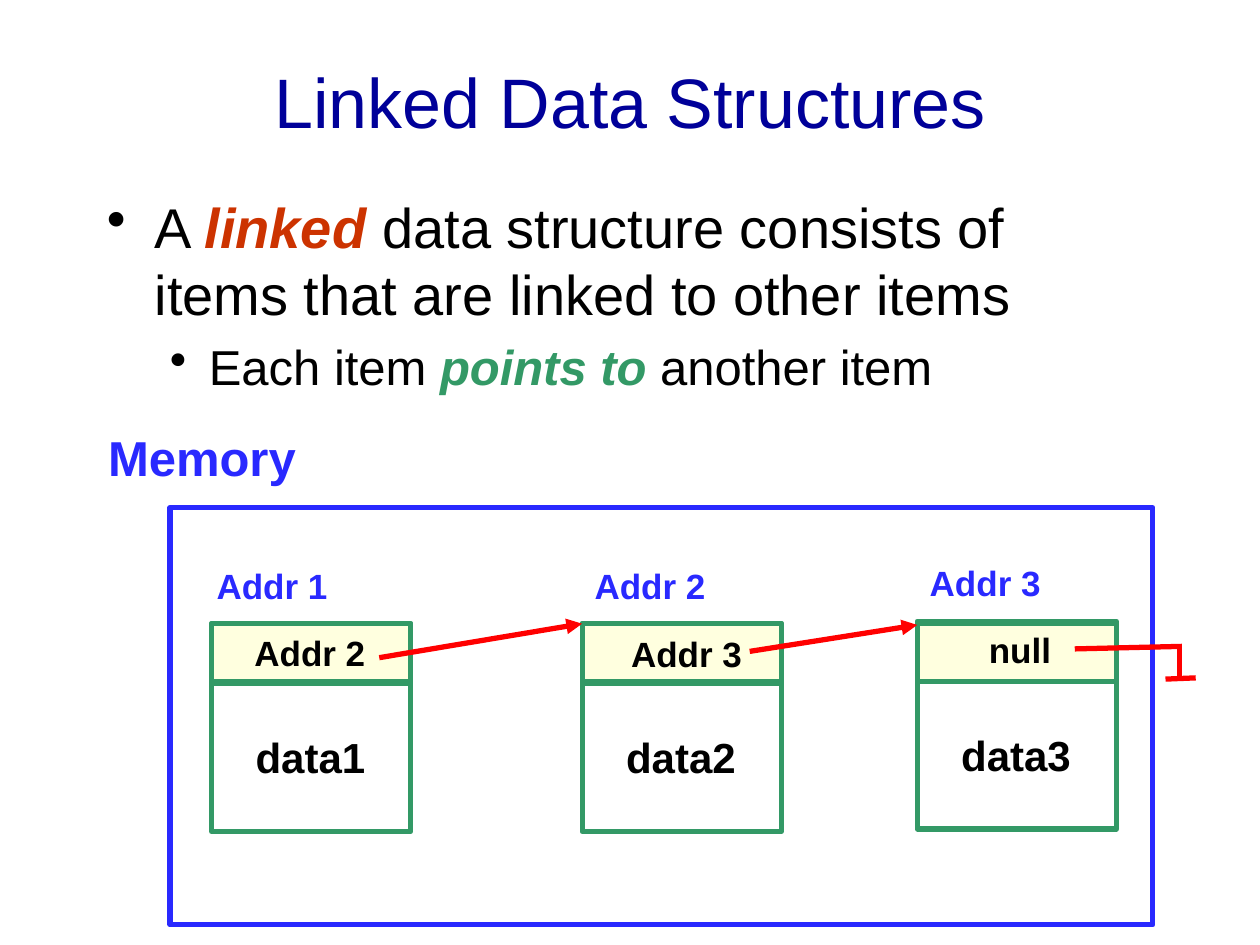
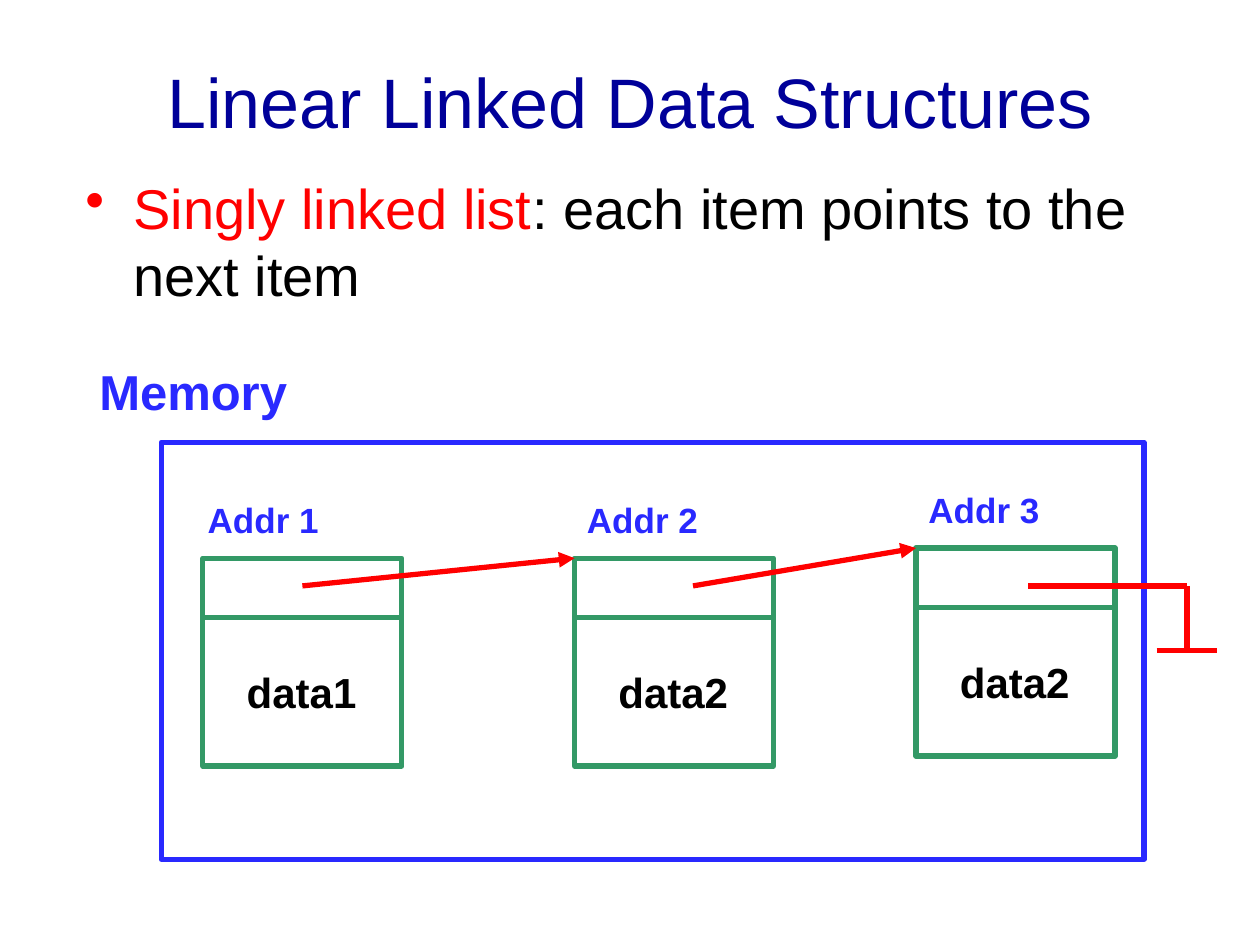
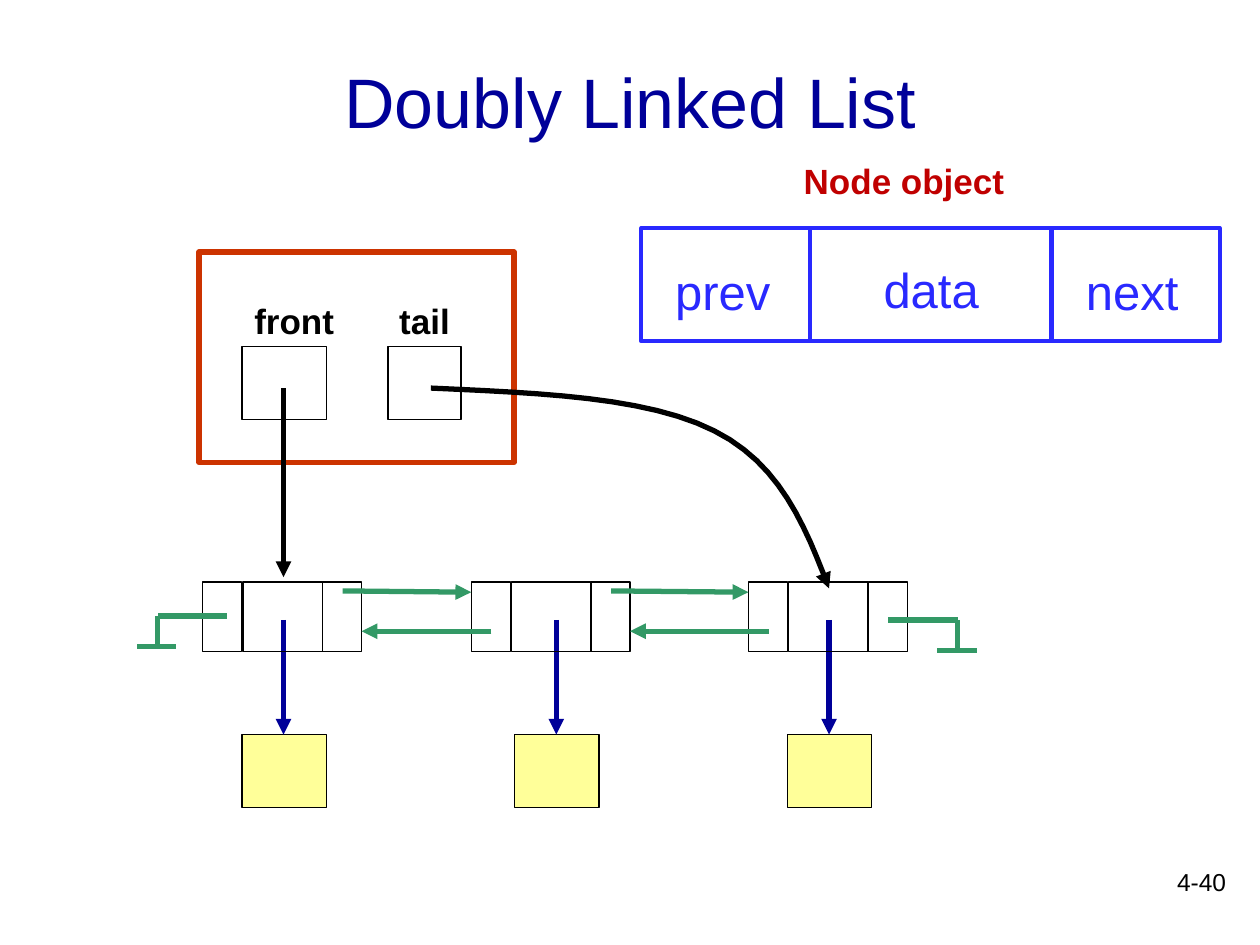
from lxml.etree import SubElement
from pptx import Presentation
from pptx.dml.color import RGBColor
from pptx.enum.shapes import MSO_CONNECTOR, MSO_SHAPE
from pptx.enum.text import MSO_ANCHOR, PP_ALIGN
from pptx.oxml.ns import qn
from pptx.util import Inches, Pt

# Shared look; the grid has 10 columns and 7.5 rows of one inch
FONT = "Arial"
COLORS = {
    "navy": "000099", "blue": "2929FF", "green": "339966", "rust": "CC3300",
    "red": "FF0000", "crimson": "C00000", "black": "000000",
    "cream": "FFFFDF", "yellow": "FFFF99",
}
TITLE_AT = (0.75, 0.17, 8.5, 1.25)
BULLETS = [(32, 0.38, 0.38), (28, 0.81, 0.31)]  # size, left edge, hanging indent


def box(slide, at, text="", size=20, color="black", bold=False, wrap=False,
        align=PP_ALIGN.LEFT, anchor=MSO_ANCHOR.TOP, outline=None, width=3, fill=None):
    """Add a text box, or a rectangle when an outline colour is given."""
    place = [Inches(v) for v in at]
    if outline:
        item = slide.shapes.add_shape(MSO_SHAPE.RECTANGLE, *place)
        item.shadow.inherit = False
        item.line.color.rgb = RGBColor.from_string(COLORS[outline])
        item.line.width = Pt(width)
        if fill:
            item.fill.solid()
            item.fill.fore_color.rgb = RGBColor.from_string(COLORS[fill])
        else:
            item.fill.background()
    else:
        item = slide.shapes.add_textbox(*place)
    frame = item.text_frame
    frame.word_wrap = wrap
    frame.vertical_anchor = anchor
    if text:
        frame.text = text
        paragraph = frame.paragraphs[0]
        paragraph.alignment = align
        font = paragraph.runs[0].font
        font.name, font.size, font.bold = FONT, Pt(size), bold
        font.color.rgb = RGBColor.from_string(COLORS[color])
    return item


def line(slide, points, color, arrow=False):
    """Draw a straight connector through two points, or an open outline through more."""
    points = [(Inches(x), Inches(y)) for x, y in points]
    if len(points) == 2:
        item = slide.shapes.add_connector(MSO_CONNECTOR.STRAIGHT, *points[0], *points[1])
    else:
        outline = slide.shapes.build_freeform(*points[0])
        outline.add_line_segments(points[1:], close=False)
        item = outline.convert_to_shape()
        item.fill.background()
    item.line.color.rgb = RGBColor.from_string(COLORS[color])
    item.line.width = Pt(3)
    properties = item.element.spPr
    if arrow:
        SubElement(properties.find(qn("a:ln")), qn("a:tailEnd"), type="triangle")
    SubElement(properties, qn("a:effectLst"))


prs = Presentation()
prs.slide_width, prs.slide_height = Inches(10), Inches(7.5)

# Slides and titles
slides = []
for title in ("Linked Data Structures", "Linear Linked Data Structures", "Doubly Linked List"):
    slide = prs.slides.add_slide(prs.slide_layouts[6])
    box(slide, TITLE_AT, title, 40, "navy", wrap=True,
        align=PP_ALIGN.CENTER, anchor=MSO_ANCHOR.MIDDLE)
    slides.append(slide)
linked, singly, doubly = slides

# Memory diagrams: node places are counted from the corner of the memory frame
memory_slides = [
    {
        "slide": linked, "body": (0.75, 1.48), "frame": (1.35, 4.03),
        "bullets": [
            [("A ", "black", False), ("linked ", "rust", True),
             ("data structure consists of items that are linked to other items", "black", False)],
            [("Each item ", "black", False), ("points to", "green", True),
             (" another item", "black", False)],
        ],
        "nodes": [(0.33, 0.92, "data1"), (3.27, 0.92, "data2"), (5.93, 0.9, "data3")],
        "links": [((3.01, 5.22), (4.62, 4.95)), ((5.95, 5.17), (7.28, 4.96))],
        "ground": [((8.53, 5.15), (9.38, 5.13)), ((9.36, 5.12), (9.36, 5.38)),
                   ((9.25, 5.39), (9.49, 5.38))],
    },
    {
        "slide": singly, "body": (0.58, 1.33), "frame": (1.28, 3.51),
        "bullets": [
            [("Singly linked list", "red", False),
             (": each item points to the next item", "black", False)],
        ],
        "nodes": [(0.33, 0.92, "data1"), (3.28, 0.92, "data2"), (5.99, 0.84, "data2")],
        "links": [((2.4, 4.65), (4.56, 4.43)), ((5.5, 4.65), (7.27, 4.35))],
        "ground": [((8.16, 4.65), (9.42, 4.65)), ((9.42, 4.65), (9.42, 5.16)),
                   ((9.18, 5.16), (9.66, 5.16))],
    },
]
for memory in memory_slides:
    slide = memory["slide"]

    # Bulleted text
    body = box(slide, (*memory["body"], 8.5, 5.17), wrap=True).text_frame
    for level, pieces in enumerate(memory["bullets"]):
        size, left, hanging = BULLETS[level]
        paragraph = body.add_paragraph() if level else body.paragraphs[0]
        paragraph.level = level
        paragraph.space_before = Pt(0.2 * size if level else 0)
        properties = paragraph._p.get_or_add_pPr()
        properties.set("marL", str(Inches(left)))
        properties.set("indent", str(-Inches(hanging)))
        SubElement(properties, qn("a:buChar"), char="•")
        for text, color, emphasis in pieces:
            run = paragraph.add_run()
            run.text = text
            run.font.name, run.font.size = FONT, Pt(size)
            run.font.bold = run.font.italic = emphasis
            run.font.color.rgb = RGBColor.from_string(COLORS[color])

    # Memory frame and its nodes
    frame_x, frame_y = memory["frame"]
    box(slide, (frame_x, frame_y, 7.8, 3.31), outline="blue")
    box(slide, (frame_x - 0.59, frame_y - 0.69, 1.71, 0.57), "Memory", 28, "blue", bold=True)
    for number, (column, row, data) in enumerate(memory["nodes"], 1):
        x, y = frame_x + column, frame_y + row
        label_x = x - 0.06 if number == 1 else x
        box(slide, (x, y, 1.58, 1.65), outline="green")
        line(slide, [(x, y + 0.47), (x + 1.58, y + 0.47)], "green")
        box(slide, (x + 0.25, y + 0.81, 1.08, 0.5), data, 24, bold=True)
        box(slide, (label_x, y - 0.52, 1.09, 0.44), f"Addr {number}", color="blue", bold=True)

    # Stored addresses
    if slide is linked:
        for x, text_x, text_y, text_w, address in (
                (1.68, 1.92, 4.96, 1.09, "Addr 2"),
                (4.62, 4.91, 4.97, 1.09, "Addr 3"),
                (7.28, 7.75, 4.94, 0.7, "null")):
            box(slide, (x, 4.95, 1.58, 0.46), outline="green", fill="cream")
            box(slide, (text_x, text_y, text_w, 0.44), address, bold=True)

    # Links and the end of the list
    for link in memory["links"]:
        line(slide, link, "red", arrow=True)
    for stroke in memory["ground"]:
        line(slide, stroke, "red")

# Doubly linked list: nodes with their data
NODE_Y, NODE_H = 4.62, 0.55
node_lefts = [1.61, 3.74, 5.94]
for index, x in enumerate(node_lefts):
    data_x = 1.92 + index * 2.165
    box(doubly, (data_x, 5.83, 0.67, 0.58), outline="black", width=0.75, fill="yellow")
    line(doubly, [(data_x + 0.33, 4.92), (data_x + 0.33, 5.83)], "navy", arrow=True)
    for offset, cell_w in ((0, 0.31), (0.32, 0.63), (0.95, 0.31)):
        box(doubly, (x + offset, NODE_Y, cell_w, NODE_H), outline="black", width=0.75)

# Next and previous links
for x, next_x in zip(node_lefts, node_lefts[1:]):
    line(doubly, [(x + 1.11, 4.69), (next_x, 4.7)], "green", arrow=True)
    line(doubly, [(next_x + 0.16, 5.01), (x + 1.26, 5.01)], "green", arrow=True)

# Both ends of the list
for inner_x, outer_x, y in ((1.8, 1.25, 4.89), (7.05, 7.6, 4.92)):
    line(doubly, [(inner_x, y), (outer_x, y)], "green")
    line(doubly, [(outer_x, y), (outer_x, y + 0.24)], "green")
    line(doubly, [(outer_x - 0.16, y + 0.24), (outer_x + 0.15, y + 0.24)], "green")

# Front and tail references
box(doubly, (1.58, 2, 2.5, 1.67), outline="rust")
box(doubly, (1.92, 2.33, 1.17, 0.43), "front", bold=True, wrap=True)
box(doubly, (3.07, 2.33, 0.6, 0.43), "tail", bold=True)
for x, cell_w in ((1.92, 0.67), (3.08, 0.58)):
    box(doubly, (x, 2.75, cell_w, 0.58), outline="black", width=0.75)
line(doubly, [(2.25, 3.08), (2.25, 4.58)], "black", arrow=True)

tail_path = [(3.42, 3.08)]
for controls in ([(4.28, 3.12), (5.14, 3.15), (5.67, 3.42)],
                 [(6.19, 3.68), (6.39, 4.17), (6.58, 4.67)]):
    curve = [tail_path[-1], *controls]
    for step in range(1, 13):
        t = step / 12
        weights = ((1 - t) ** 3, 3 * t * (1 - t) ** 2, 3 * t ** 2 * (1 - t), t ** 3)
        tail_path.append(tuple(sum(w * point[axis] for w, point in zip(weights, curve))
                               for axis in (0, 1)))
line(doubly, tail_path, "black", arrow=True)

# Node object legend
box(doubly, (6.28, 1.22, 1.81, 0.44), "Node object", color="crimson", bold=True)
for x, field_w in ((5.09, 1.34), (8.34, 1.34)):
    box(doubly, (x, 1.81, field_w, 0.9), outline="blue", width=2.25)
data_field = box(doubly, (6.43, 1.81, 1.92, 0.9), "data", 28, "blue", align=PP_ALIGN.CENTER,
                 anchor=MSO_ANCHOR.MIDDLE, outline="blue", width=2.25)
data_field.text_frame.margin_top = Inches(0.11)
for x, field in ((5.26, "prev"), (8.52, "next")):
    box(doubly, (x, 2.03, 0.99, 0.57), field, 28, "blue", wrap=True)

# Page number
box(doubly, (7.75, 6.83, 2.08, 0.5), "4-40", 14, wrap=True, align=PP_ALIGN.RIGHT)

prs.save("out.pptx")
